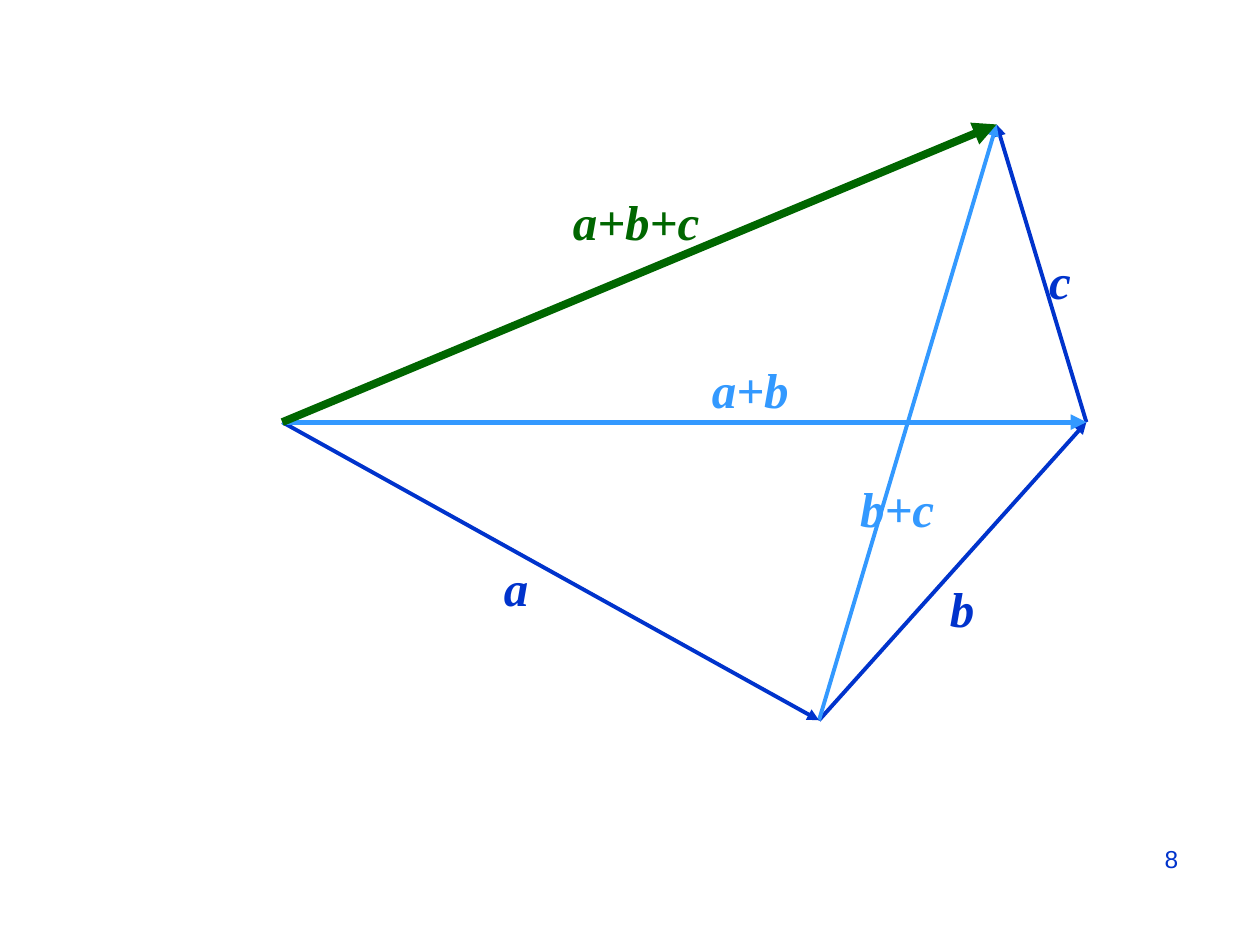
from lxml.etree import SubElement
from pptx import Presentation
from pptx.dml.color import RGBColor
from pptx.enum.shapes import MSO_CONNECTOR
from pptx.enum.text import PP_ALIGN
from pptx.oxml.ns import qn
from pptx.util import Cm, Pt

BLUE = RGBColor(0x00, 0x33, 0xCC)
SKY = RGBColor(0x33, 0x99, 0xFF)
GREEN = RGBColor(0x00, 0x66, 0x00)

LABEL_FONT = {"name": "Times New Roman", "size": Pt(28), "bold": True, "italic": True}
NUMBER_FONT = {"name": "Arial", "size": Pt(14)}
LABEL_HEIGHT = 1.45

# Ends of the vectors in cm from the diagram's top left corner
POINTS = {"start": (0, 6), "after a": (10.82, 12.01),
          "after b": (16.21, 6), "after c": (14.4, 0)}
# Back to front: from, to, colour, width in points
VECTORS = [
    ("after a", "after b", BLUE, 2.25),
    ("after b", "after c", BLUE, 2.25),
    ("after a", "after c", SKY, 2.25),
    ("start", "after a", BLUE, 2.25),
    ("start", "after b", SKY, 3),
    ("start", "after c", GREEN, 4.5),
]
# Text, left, top, width in cm, colour
LABELS = [
    ("c", 15.21, 2.41, 0.76, BLUE),
    ("b", 13.21, 9.02, 0.76, BLUE),
    ("a", 4.22, 8.61, 0.76, BLUE),
    ("a+b+c", 5.61, 1.22, 3.81, GREEN),
    ("b+c", 11.4, 7.01, 2.21, SKY),
    ("a+b", 8.41, 4.62, 2.39, SKY),
]


def add_text(slide, text, box, font, color, align=PP_ALIGN.LEFT):
    tf = slide.shapes.add_textbox(*map(Cm, box)).text_frame
    tf.word_wrap = True
    p = tf.paragraphs[0]
    p.alignment = align
    r = p.add_run()
    r.text = text
    for name, value in font.items():
        setattr(r.font, name, value)
    r.font.color.rgb = color
    return tf


def add_vector(shapes, start, end, color, width):
    s = shapes.add_connector(MSO_CONNECTOR.STRAIGHT, *map(Cm, start + end))
    s.line.color.rgb = color
    s.line.width = Pt(width)
    SubElement(s.line._get_or_add_ln(), qn("a:tailEnd"), type="triangle")
    SubElement(s._element.spPr, qn("a:effectLst"))


def add_vector_diagram(slide, left, top):
    group = slide.shapes.add_group_shape()
    points = {name: (left + x, top + y) for name, (x, y) in POINTS.items()}
    for start, end, color, width in VECTORS:
        add_vector(group.shapes, points[start], points[end], color, width)
    for text, x, y, width, color in LABELS:
        box = (left + x, top + y, width, LABEL_HEIGHT)
        add_text(slide, text, box, LABEL_FONT, color)


def add_page_number(slide, number, box):
    tf = add_text(slide, number, box, NUMBER_FONT, BLUE, PP_ALIGN.RIGHT)
    tf.margin_left = tf.margin_right = Cm(0.81)
    tf.margin_top = tf.margin_bottom = Cm(0.41)


def main():
    prs = Presentation()
    prs.slide_width, prs.slide_height = Cm(25.4), Cm(19.05)
    slide = prs.slides.add_slide(prs.slide_layouts[6])
    add_page_number(slide, "8", (18.21, 16.71, 6.35, 1.32))
    add_vector_diagram(slide, 5.69, 2.51)
    prs.save("out.pptx")


if __name__ == "__main__":
    main()
